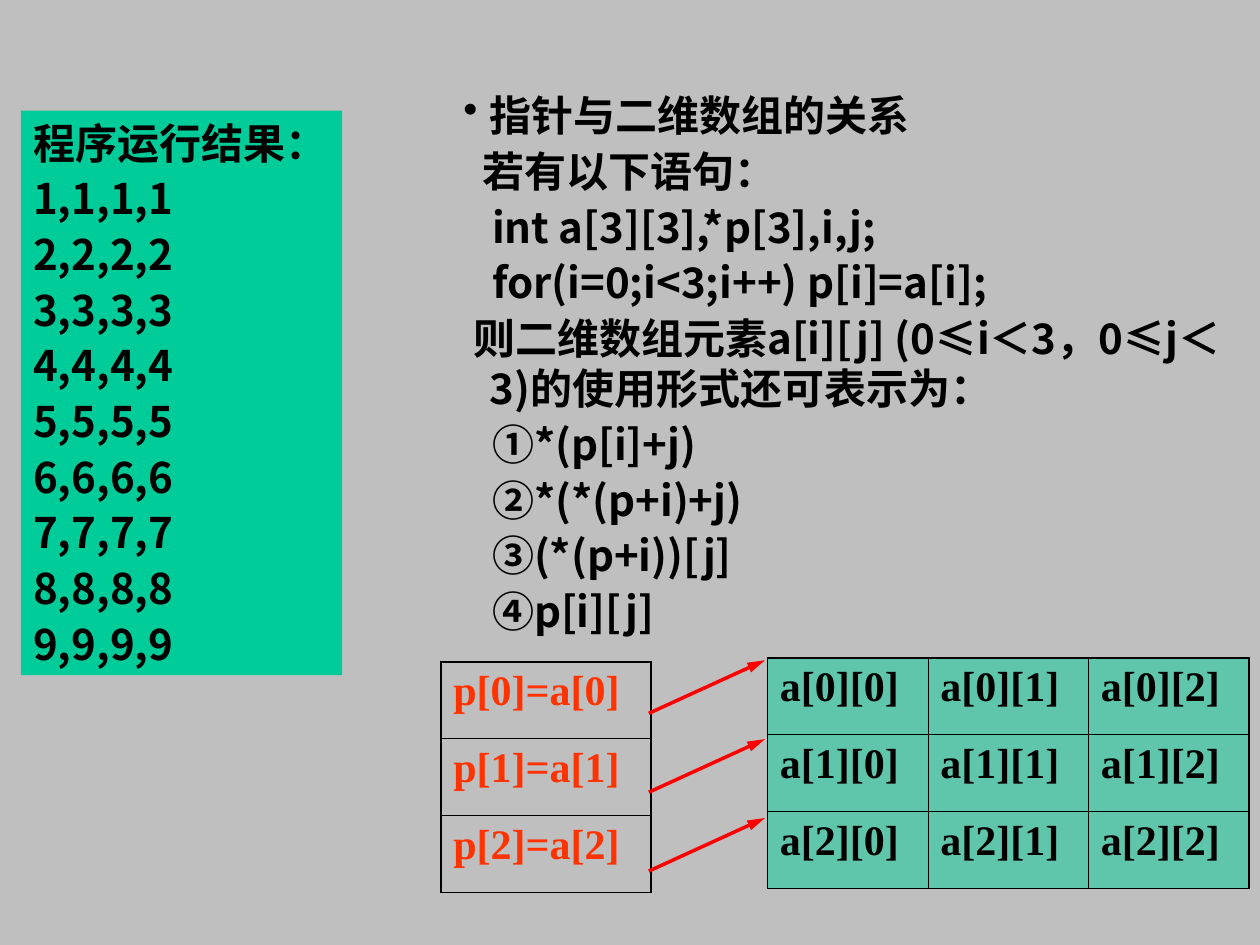
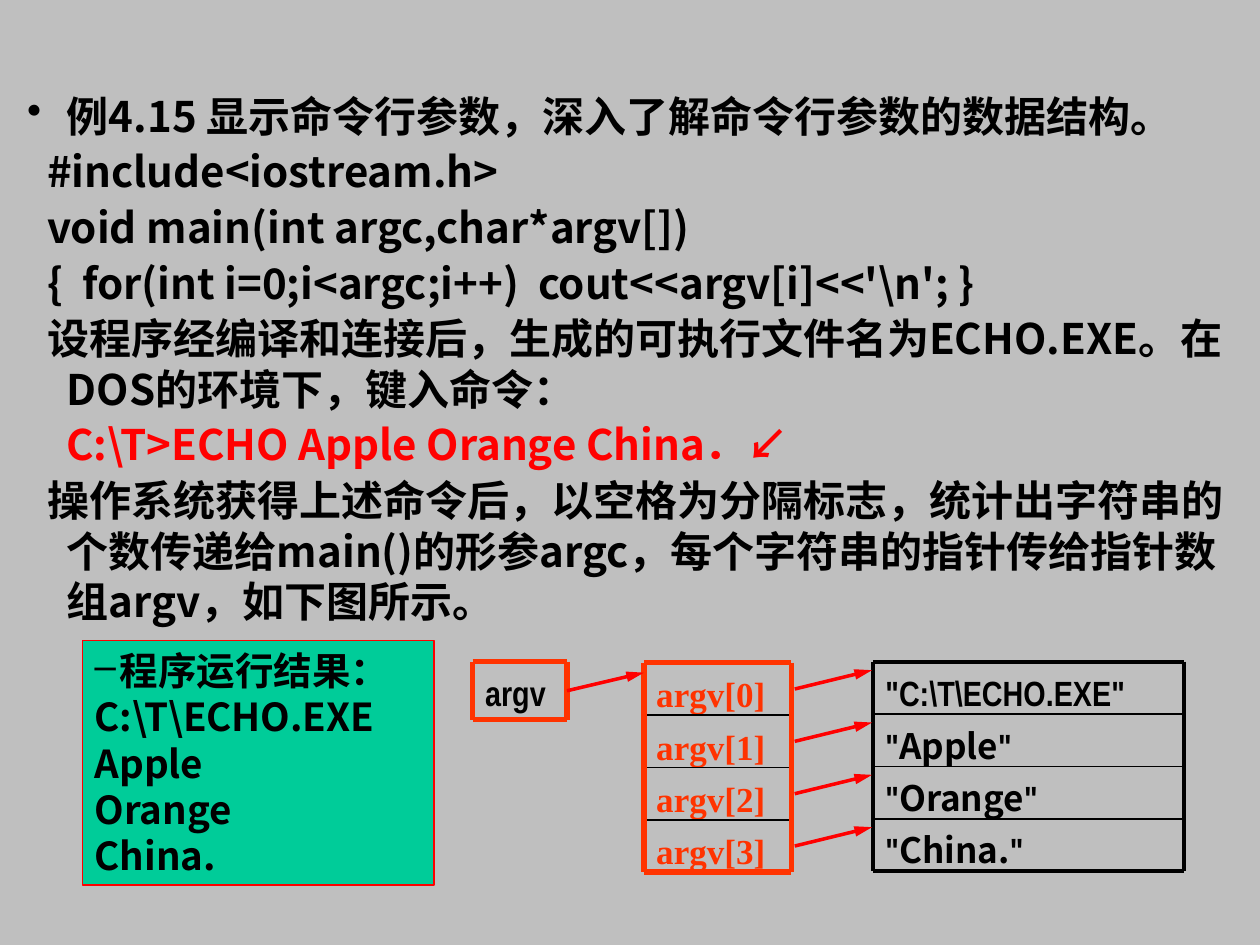
from dataclasses import dataclass

from lxml.etree import SubElement
from pptx import Presentation
from pptx.dml.color import RGBColor
from pptx.enum.shapes import MSO_CONNECTOR, MSO_SHAPE
from pptx.enum.text import PP_ALIGN
from pptx.oxml.ns import qn
from pptx.util import Cm, Pt


@dataclass(frozen=True)
class Theme:
    background: str = "BFBFBF"
    ink: str = "000000"
    green: str = "00CC99"
    red: str = "FF0000"
    orange: str = "FF3300"
    sans: str = "Noto Sans CJK SC"
    serif: str = "Times New Roman"
    narrow: str = "Arial Narrow"
    body: int = 24
    output: int = 22
    label: int = 20
    leading: float = 1.2


@dataclass(frozen=True)
class Para:
    """Runs as one string or (text, format) pairs; indents in centimetres."""
    runs: object
    left: float = 0
    first: float = 0
    bullet: str = ""
    leading: float = 0


@dataclass(frozen=True)
class Border:
    color: str
    width: float


@dataclass(frozen=True)
class Box:
    x: float
    y: float
    width: float
    height: float

    def lengths(self):
        return Cm(self.x), Cm(self.y), Cm(self.width), Cm(self.height)


THEME = Theme()
ARROW = Border(THEME.red, 2)
MARGINS = (0.25, 0.13, 0.25, 0.13)


def set_margins(holder, margins):
    """Margins are left, top, right, bottom, in centimetres."""
    (holder.margin_left, holder.margin_top,
     holder.margin_right, holder.margin_bottom) = map(Cm, margins)


def write(frame, paragraphs, *, size=THEME.body, font=THEME.sans, color=THEME.ink,
          before=0, leading=0, margins=MARGINS):
    """Fill a text frame with strings or Paras."""
    frame.word_wrap = True
    set_margins(frame, margins)
    for index, content in enumerate(paragraphs):
        para = content if isinstance(content, Para) else Para(content)
        paragraph = frame.add_paragraph() if index else frame.paragraphs[0]
        paragraph.alignment = PP_ALIGN.LEFT
        paragraph.space_before = Pt(before)
        if para.leading or leading:
            paragraph.line_spacing = Pt(size * (para.leading or leading))
        properties = paragraph._p.get_or_add_pPr()
        properties.set("marL", str(Cm(para.left)))
        properties.set("indent", str(Cm(para.first)))
        if para.bullet:
            SubElement(properties, qn("a:buChar"), char=para.bullet)
        runs = [(para.runs, {})] if isinstance(para.runs, str) else para.runs
        for text, changes in runs:
            run = paragraph.add_run()
            run.text = text
            run.font.size = Pt(size)
            run.font.bold = True
            run.font.color.rgb = RGBColor.from_string(changes.get("color", color))
            run.font.name = changes.get("font", font)
            SubElement(run._r.get_or_add_rPr(), qn("a:ea"), typeface=THEME.sans)


def add_panel(slide, box, paragraphs, *, border=None, **text_format):
    panel = slide.shapes.add_shape(MSO_SHAPE.RECTANGLE, *box.lengths())
    panel.shadow.inherit = False
    panel.fill.solid()
    panel.fill.fore_color.rgb = RGBColor.from_string(THEME.green)
    if border:
        panel.line.color.rgb = RGBColor.from_string(border.color)
        panel.line.width = Pt(border.width)
    else:
        panel.line.fill.background()
    write(panel.text_frame, paragraphs, leading=THEME.leading, **text_format)


def add_text(slide, box, paragraphs, **text_format):
    label = slide.shapes.add_textbox(*box.lengths())
    write(label.text_frame, paragraphs, **text_format)
    return label


def set_borders(cell, borders):
    """Draw the left, right, top and bottom borders, in that order."""
    properties = cell._tc.get_or_add_tcPr()
    for index, (side, border) in enumerate(zip("LRTB", borders)):
        line = SubElement(properties, qn(f"a:ln{side}"), w=str(Pt(border.width)))
        fill = SubElement(line, qn("a:solidFill"))
        SubElement(fill, qn("a:srgbClr"), val=border.color)
        properties.insert(index, line)


def add_grid(slide, box, rows, *, fill=None, **text_format):
    """Add a table of equal cells; the fill is half transparent."""
    outer, inner = Border(THEME.ink, 1.08), Border(THEME.ink, 0.45)
    row_count, column_count = len(rows), len(rows[0])
    table = slide.shapes.add_table(row_count, column_count, *box.lengths()).table
    table.first_row = table.horz_banding = False
    for column in table.columns:
        column.width = Cm(box.width / column_count)
    for r, row in enumerate(rows):
        table.rows[r].height = Cm(box.height / row_count)
        for c, content in enumerate(row):
            cell = table.cell(r, c)
            write(cell.text_frame, [content], font=THEME.serif, **text_format)
            set_margins(cell, MARGINS)
            if fill:
                cell.fill.solid()
                cell.fill.fore_color.rgb = RGBColor.from_string(fill)
                tint = cell._tc.tcPr.find(".//" + qn("a:srgbClr"))
                SubElement(tint, qn("a:alpha"), val="50000")
            else:
                cell.fill.background()
            on_edge = (c == 0, c == column_count - 1, r == 0, r == row_count - 1)
            set_borders(cell, [outer if edge else inner for edge in on_edge])


def add_line(slide, start, end, border):
    line = slide.shapes.add_connector(MSO_CONNECTOR.STRAIGHT, *map(Cm, start + end))
    line.line.color.rgb = RGBColor.from_string(border.color)
    line.line.width = Pt(border.width)
    SubElement(line._element.spPr, qn("a:effectLst"))
    return line


def add_arrow(slide, start, end):
    arrow = add_line(slide, start, end, ARROW)
    SubElement(arrow.line._get_or_add_ln(), qn("a:tailEnd"), type="triangle",
               w="med", len="lg")
    return arrow


def add_row_arrows(slide, start, end, count, step):
    for row in range(count):
        drop = row * step
        add_arrow(slide, (start[0], start[1] + drop), (end[0], end[1] + drop))


def add_memory_cells(slide, box, contents, frame, **text_format):
    """Stack labels in a ruled frame and return the labels."""
    step = box.height / len(contents)
    right, bottom = box.x + box.width, box.y + box.height
    labels = [add_text(slide, Box(box.x, box.y + row * step, box.width, step),
                       [content], size=THEME.label, margins=(0.25, 0.2, 0, 0),
                       **text_format)
              for row, content in enumerate(contents)]
    for row in range(len(contents) + 1):
        y = box.y + row * step
        rule = frame if row in (0, len(contents)) else Border(THEME.ink, 1)
        add_line(slide, (box.x, y), (right, y), rule)
    for x in (box.x, right):
        add_line(slide, (x, box.y), (x, bottom), frame)
    return labels


def add_array_diagram(slide, box):
    """Row pointers on the left, each pointing at its row of the array."""
    height = box.height - 0.08
    add_grid(slide, Box(box.x + 6.58, box.y, 9.71, height),
             [[f"a[{i}][{j}]" for j in range(3)] for i in range(3)],
             fill=THEME.green)
    add_grid(slide, Box(box.x, box.y + 0.08, 4.24, height),
             [[f"p[{i}]=a[{i}]"] for i in range(3)], color=THEME.orange)
    add_row_arrows(slide, (box.x + 4.19, box.y + 1.12),
                   (box.x + 6.53, box.y + 0.05), 3, 1.59)


def quoted(word):
    quote = ('"', {"font": THEME.narrow})
    return Para([quote, (word, {}), quote], leading=THEME.leading)


def add_argv_diagram(slide, box):
    """argv points at the pointer array, whose items point at the strings."""
    orange_frame = Border(THEME.orange, 3)
    add_memory_cells(slide, Box(box.x + 3.45, box.y + 0.02, 2.97, box.height),
                     [f"argv[{i}]" for i in range(4)], orange_frame,
                     font=THEME.serif, color=THEME.orange)
    program = Para([('"C:\\T\\ECHO.EXE"', {"font": THEME.narrow})])
    strings = [program] + [quoted(word) for word in ("Apple", "Orange", "China.")]
    add_memory_cells(slide, Box(box.x + 8.07, box.y, 6.27, box.height),
                     strings, Border(THEME.ink, 2.25))
    add_row_arrows(slide, (box.x + 6.49, box.y + 0.55),
                   (box.x + 8.05, box.y + 0.17), 4, box.height / 4)
    [argv] = add_memory_cells(slide, Box(box.x, box.y, 1.9, 1.17), ["argv"],
                              orange_frame, font=THEME.narrow)
    to_array = add_arrow(slide, (box.x + 1.9, box.y + 0.58),
                         (box.x + 3.45, box.y + 0.22))
    to_array.begin_connect(argv, 3)


def add_notes(slide, box, paragraphs):
    add_text(slide, box, paragraphs, before=3, leading=THEME.leading)


def new_slide(deck):
    slide = deck.slides.add_slide(deck.slide_layouts[6])
    slide.background.fill.solid()
    slide.background.fill.fore_color.rgb = RGBColor.from_string(THEME.background)
    return slide


def build_array_slide(deck):
    slide = new_slide(deck)
    results = ["程序运行结果："] + [",".join([str(n)] * 4) for n in range(1, 10)]
    add_panel(slide, Box(0.42, 2.23, 6.48, 11.38), results, before=3)
    statements = ["int a[3][3],*p[3],i,j;", "for(i=0;i<3;i++) p[i]=a[i];"]
    forms = ["①*(p[i]+j)", "②*(*(p+i)+j)", "③(*(p+i))[j]", "④p[i][j]"]
    add_notes(slide, Box(9.09, 1.68, 15.88, 11.28), [
        Para("指针与二维数组的关系", left=0.53, first=-0.53, bullet="•"),
        Para("若有以下语句：", left=0.38),
        *[Para(statement, left=0.58) for statement in statements],
        Para("则二维数组元素a[i][j] (0≤i＜3，0≤j＜3)的使用形式还可表示为：",
             left=0.53, first=-0.33),
        *[Para(form, left=0.58) for form in forms],
    ])
    add_array_diagram(slide, Box(8.89, 13.26, 16.28, 4.73))


def build_command_line_slide(deck):
    slide = new_slide(deck)
    hanging = {"left": 0.8, "first": -0.4}
    code = ["#include<iostream.h>", "void main(int argc,char*argv[])",
            "{  for(int i=0;i<argc;i++)  cout<<argv[i]<<'\\n'; }"]
    command = [("C:\\T>ECHO Apple Orange China．", {"color": THEME.red}),
               ("↙", {"color": THEME.red, "font": THEME.serif})]
    add_notes(slide, Box(0.3, 1.69, 24.77, 11.13), [
        Para("例4.15 显示命令行参数，深入了解命令行参数的数据结构。",
             left=0.8, first=-0.8, bullet="•"),
        *[Para(line, **hanging) for line in code],
        Para("设程序经编译和连接后，生成的可执行文件名为ECHO.EXE。"
             "在DOS的环境下，键入命令：", **hanging),
        Para(command, left=0.79),
        Para("操作系统获得上述命令后，以空格为分隔标志，统计出字符串的个数传递给"
             "main()的形参argc，每个字符串的指针传给指针数组argv，如下图所示。",
             **hanging),
    ])
    add_panel(slide, Box(1.66, 12.91, 7.09, 4.93), [
        Para("程序运行结果：", left=0.51, first=-0.51, bullet="–"),
        "C:\\T\\ECHO.EXE", "Apple", "Orange", "China.",
    ], border=Border(THEME.red, 0.75), size=THEME.output)
    add_argv_diagram(slide, Box(9.53, 13.34, 14.34, 4.22))


def main():
    deck = Presentation()
    deck.slide_width, deck.slide_height = Cm(25.4), Cm(19.05)
    build_array_slide(deck)
    build_command_line_slide(deck)
    deck.save("out.pptx")


if __name__ == "__main__":
    main()
